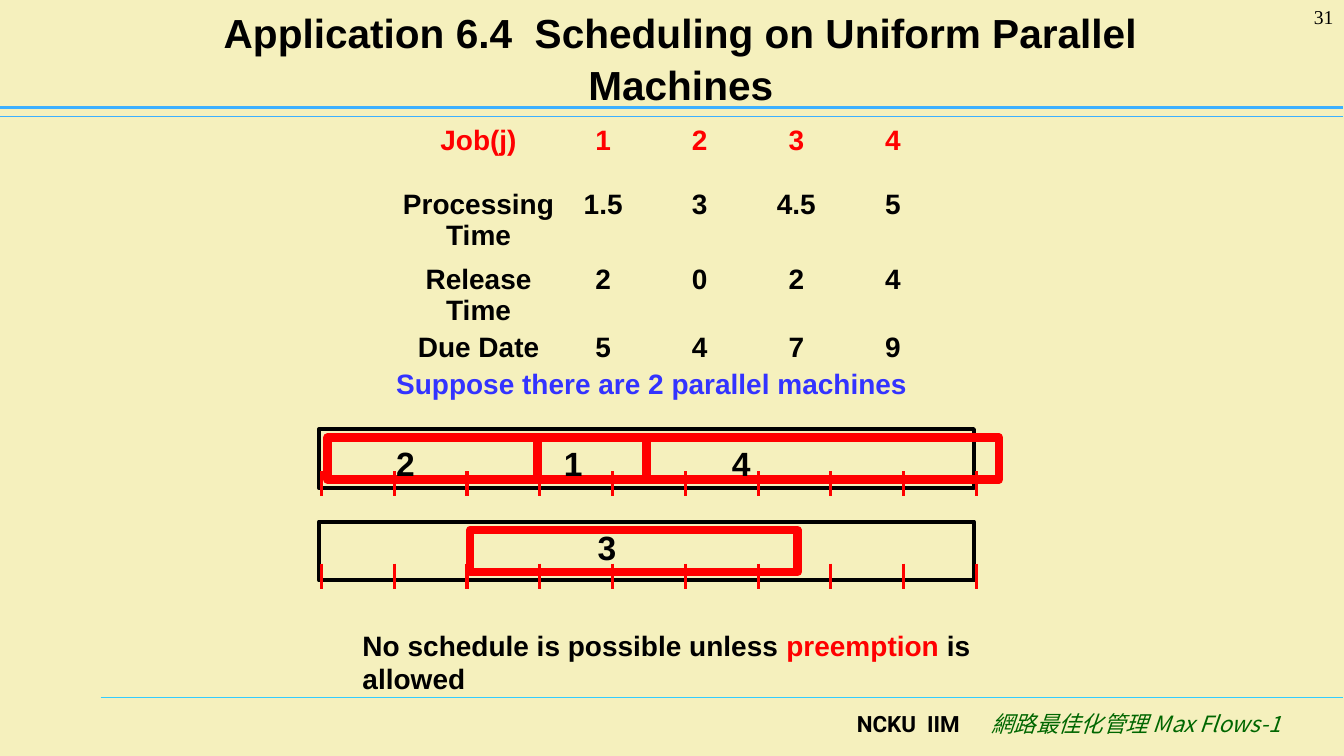
import pptx
import pptx.dml.color
import pptx.enum.shapes
import pptx.enum.text
import pptx.oxml
import pptx.util
from lxml import etree

RGBColor = pptx.dml.color.RGBColor
BLACK = RGBColor(0x00, 0x00, 0x00)
RED = RGBColor(0xFF, 0x00, 0x00)
BLUE = RGBColor(0x33, 0x33, 0xFF)
GREEN = RGBColor(0x00, 0x66, 0x00)
SKY = RGBColor(0x3D, 0xB0, 0xFF)
CYAN = RGBColor(0x33, 0xCC, 0xFF)
CREAM = RGBColor(0xF5, 0xF0, 0xBD)

ALIGN = pptx.enum.text.PP_ALIGN
COLUMNS, ROWS = 160, 90
NO_GRID_STYLE = "{2D5ABB26-0587-4C30-8999-92F81FD0307C}"

JOBS = [
    ["Job(j)", "1", "2", "3", "4"],
    ["Processing Time", "1.5", "3", "4.5", "5"],
    ["Release Time", "2", "0", "2", "4"],
    ["Due Date", "5", "4", "7", "9"],
]
JOB_ROW_HEIGHTS = [7.6, 8.9, 8.2, 4]
LABEL_WIDTH, VALUE_WIDTH = 18.2, 11.5

PERIODS = 9
MACHINES = [
    ([(1, 25), (26, 13), (39, 42)], [("2", 8, 1), ("1", 28, 1), ("4", 48, 1)]),
    ([(18, 39)], [("3", 32, 0)]),
]


def grid(*cells):
    return [pptx.util.Inches(cell / 12) for cell in cells]


def format_run(run, size, color, bold=True, font="Arial"):
    run.font.name = font
    run.font.size = pptx.util.Pt(size)
    run.font.bold = bold
    run.font.color.rgb = color


def add_text(slide, box, pieces, size, align=ALIGN.LEFT, **style):
    text_frame = slide.shapes.add_textbox(*grid(*box)).text_frame
    text_frame.word_wrap = True
    paragraph = text_frame.paragraphs[0]
    paragraph.alignment = align
    for text, color in pieces:
        run = paragraph.add_run()
        run.text = text
        format_run(run, size, color, **style)
    return paragraph


def add_line(slide, start, end, color, width):
    connector = slide.shapes.add_connector(
        pptx.enum.shapes.MSO_CONNECTOR.STRAIGHT, *grid(*start, *end))
    connector.line.color.rgb = color
    connector.line.width = pptx.util.Pt(width)
    properties = connector._element.spPr
    etree.SubElement(properties, pptx.oxml.ns.qn("a:effectLst"))


def add_frame(slide, box, color, width):
    shape = slide.shapes.add_shape(
        pptx.enum.shapes.MSO_SHAPE.RECTANGLE, *grid(*box))
    shape.shadow.inherit = False
    shape.fill.background()
    shape.line.color.rgb = color
    shape.line.width = pptx.util.Pt(width)


def add_header(slide, box):
    left, top, width, height = box
    title = slide.shapes.title
    title.left, title.top, title.width, title.height = grid(
        left + 25.2, top + 1.6, 111.8, 10.4)
    text_frame = title.text_frame
    text_frame.text = "Application 6.4  Scheduling on Uniform Parallel Machines"
    text_frame.word_wrap = True
    text_frame.auto_size = pptx.enum.text.MSO_AUTO_SIZE.NONE
    text_frame.vertical_anchor = pptx.enum.text.MSO_ANCHOR.MIDDLE
    paragraph = text_frame.paragraphs[0]
    paragraph.alignment = ALIGN.CENTER
    paragraph.line_spacing = 1.05
    format_run(paragraph.runs[0], 29, BLACK)
    right, bottom = left + width, top + height
    add_line(slide, (left, bottom), (right, bottom), SKY, 0.75)
    add_line(slide, (left, bottom - 1.1), (right, bottom - 1.1), SKY, 2.5)
    add_text(slide, (right - 13.3, top, 13.3, 6), [("31", BLACK)], 14,
             ALIGN.RIGHT, bold=False, font="Times New Roman")


def add_job_table(slide, left, top):
    width = LABEL_WIDTH + VALUE_WIDTH * (len(JOBS[0]) - 1)
    table = slide.shapes.add_table(
        len(JOBS), len(JOBS[0]),
        *grid(left, top, width, sum(JOB_ROW_HEIGHTS))).table
    table.first_row = table.horz_banding = False
    table._tbl.tblPr.find(pptx.oxml.ns.qn("a:tableStyleId")).text = NO_GRID_STYLE
    for index, column in enumerate(table.columns):
        column.width = grid(VALUE_WIDTH if index else LABEL_WIDTH)[0]
    for row_index, values in enumerate(JOBS):
        table.rows[row_index].height = grid(JOB_ROW_HEIGHTS[row_index])[0]
        for column_index, value in enumerate(values):
            cell = table.cell(row_index, column_index)
            cell.fill.background()
            cell.margin_left = cell.margin_right = 0
            cell.margin_top = cell.margin_bottom = 0
            cell.text = value
            paragraph = cell.text_frame.paragraphs[0]
            paragraph.alignment = ALIGN.CENTER
            format_run(paragraph.runs[0], 20, BLACK if row_index else RED)


def add_machine(slide, box, bars, labels):
    left, top, width, height = box
    add_frame(slide, box, BLACK, 3)
    for period in range(PERIODS + 1):
        tick = left + 0.3 + period * width / PERIODS
        add_line(slide, (tick, top + 5), (tick, top + 8), RED, 2.25)
    for start, length in bars:
        add_frame(slide, (left + start, top + 1, length, height - 2), RED, 6)
    for job, start, drop in labels:
        add_text(slide, (left + start, top + drop, 11, 6), [(job, BLACK)], 24)


def add_footer(slide, box):
    left, top, width, height = box
    add_line(slide, (left, top), (left + width, top), CYAN, 0.75)
    add_text(slide, (left + 83.5, top + 1, 20, 6), [("NCKU  IIM", BLACK)], 16,
             ALIGN.RIGHT, font="Roboto")
    font = "Noto Sans CJK SC"
    paragraph = add_text(
        slide, (left + 101.7, top + 1, 40, 6), [("網路最佳化管理 Max Flows-1", GREEN)],
        16, ALIGN.RIGHT, bold=False, font=font)
    run = paragraph.runs[0]
    run.font.italic = True
    etree.SubElement(run.font._element, pptx.oxml.ns.qn("a:ea"), typeface=font)


def add_scheduling_slide(presentation):
    slide = presentation.slides.add_slide(presentation.slide_layouts[5])
    slide.background.fill.solid()
    slide.background.fill.fore_color.rgb = CREAM
    add_header(slide, (0, 0, COLUMNS, 13.9))
    add_job_table(slide, 47.9, 14.9)
    add_text(slide, (46, 43.1, 70, 5.3),
             [("Suppose there are 2 parallel machines", BLUE)], 20)
    for index, (bars, labels) in enumerate(MACHINES):
        add_machine(slide, (38, 51.1 + 11 * index, 78, 7), bars, labels)
    add_text(slide, (42, 74.2, 84, 9.2),
             [("No schedule is possible unless ", BLACK),
              ("preemption", RED), (" is allowed", BLACK)], 20)
    add_footer(slide, (12, 83, COLUMNS - 12, ROWS - 83))


def main():
    presentation = pptx.Presentation()
    presentation.slide_width = pptx.util.Inches(13.34)
    presentation.slide_height = pptx.util.Inches(7.5)
    add_scheduling_slide(presentation)
    presentation.save("out.pptx")


if __name__ == "__main__":
    main()
